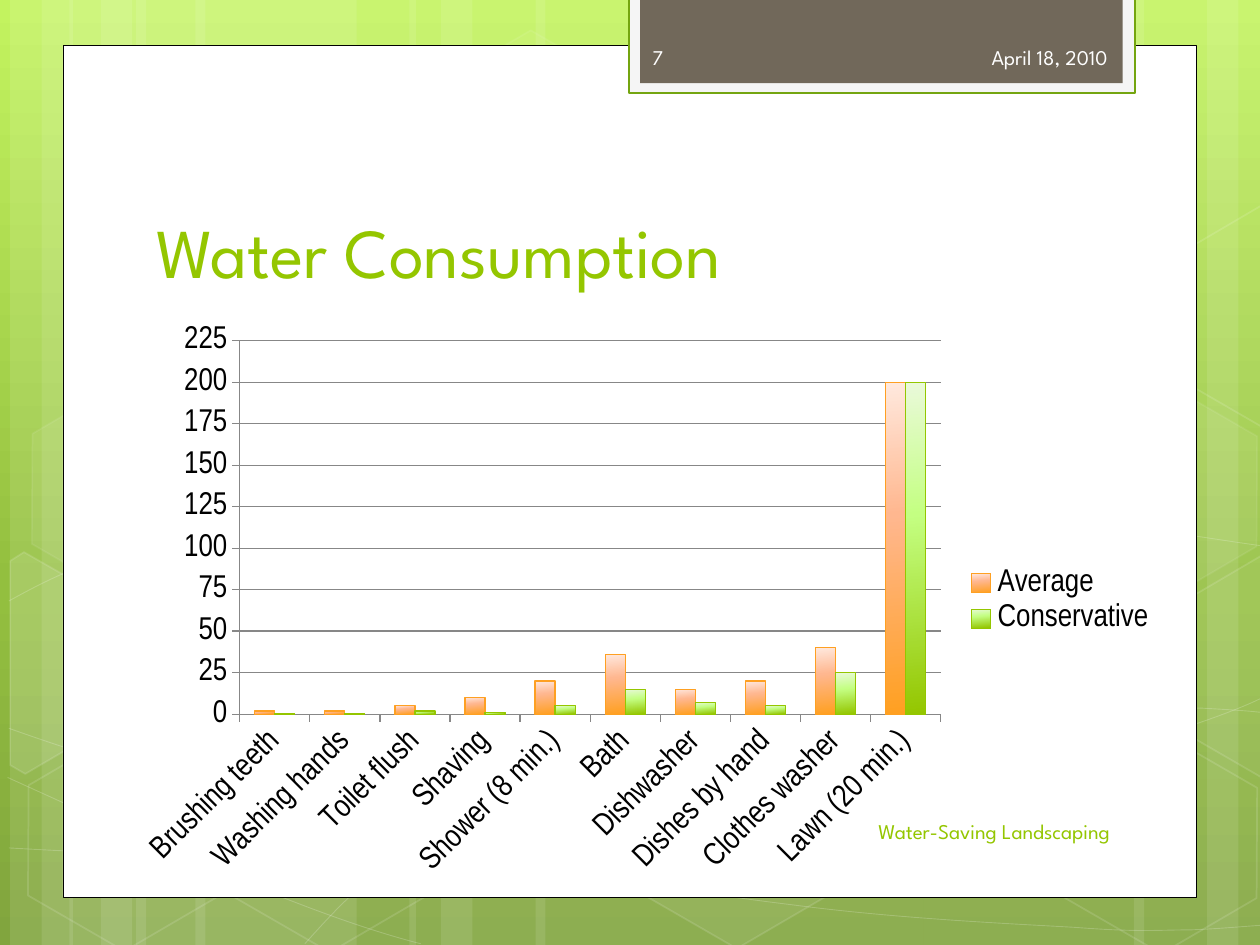
from math import cos, radians, sin
from typing import NamedTuple, Optional
from lxml.etree import SubElement
from pptx import Presentation
from pptx.chart.data import CategoryChartData
from pptx.dml.color import RGBColor
from pptx.enum.chart import XL_CHART_TYPE, XL_LEGEND_POSITION, XL_TICK_MARK
from pptx.enum.shapes import MSO_SHAPE
from pptx.enum.text import MSO_ANCHOR, PP_ALIGN
from pptx.oxml.ns import qn
from pptx.util import Inches, Pt

WHITE = RGBColor(0xFF, 0xFF, 0xFF)
OFF_WHITE = RGBColor(0xFE, 0xFE, 0xFE)
BLACK = RGBColor(0, 0, 0)
GREEN = RGBColor(0x94, 0xC6, 0x00)
DARK_GREEN = RGBColor(0x74, 0xA5, 0x10)
ORANGE = RGBColor(0xFE, 0xA0, 0x22)
PALE_GRAY = RGBColor(0xF5, 0xF5, 0xF5)
BROWN = RGBColor(0x71, 0x68, 0x5A)
GRID_GRAY = RGBColor(0x87, 0x87, 0x87)
HEADING_FONT = "League Spartan"
CHART_FONT = "Arial Narrow"
TILT = 30

Stops = list[tuple[int, str]]
Point = tuple[float, float]


class Hexagon(NamedTuple):
    left: float
    top: float
    fill_alpha: int
    line_alpha: int


class CutHexagon(NamedTuple):
    center: Point
    points: list[Point]
    fill_alpha: int = 0


class Label(NamedTuple):
    text: str
    at: tuple[float, float, float, float]
    size: int
    color: RGBColor
    align: PP_ALIGN = PP_ALIGN.LEFT
    anchor: MSO_ANCHOR = MSO_ANCHOR.MIDDLE


class Series(NamedTuple):
    name: str
    values: list[float]
    stops: Stops
    line: RGBColor


BANDS = [(1.08, 1.75), (0.08, 0.5), (0.33, 0.83), (1.55, 1.75), (0.55, 0.5), (0.8, 0.83),
         (7.33, 1.75), (9.58, 0.5), (9, 0.83), (4.25, 3.08), (3.25, 0.5), (3.5, 0.83)]

# Each curve: a start point, then three points per Bezier segment
CURVES: list[list[Point]] = [
    [(0.07, 6.73), (0.61, 6.76), (1.15, 6.79), (1.9, 6.78), (2.65, 6.77), (3.58, 6.75),
     (4.58, 6.65), (5.58, 6.55), (7, 6.36), (7.92, 6.17), (8.83, 5.98), (9.77, 5.68), (10.07, 5.51)],
    [(0.07, 4.77), (0.36, 4.61), (0.65, 4.46), (1.21, 4.31), (1.78, 4.16), (2.59, 3.94),
     (3.47, 3.87), (4.36, 3.8), (5.44, 3.79), (6.54, 3.87), (7.64, 3.95), (9.47, 4.26), (10.07, 4.34)],
    [(0.06, 6.17), (1.27, 6.72), (2.47, 7.27), (3.34, 7.49)],
    [(0.07, 5.78), (0.38, 5.89), (0.7, 6), (1.28, 6.16), (1.86, 6.31), (2.73, 6.56), (3.57, 6.73),
     (4.4, 6.9), (5.45, 7.08), (6.28, 7.18), (7.11, 7.29), (8, 7.33), (8.53, 7.36),
     (9.05, 7.4), (9.19, 7.38), (9.45, 7.38), (9.71, 7.37), (9.89, 7.35), (10.07, 7.34)],
    [(2.42, 7.49), (2.6, 7.29), (2.78, 7.09), (3.02, 6.91), (3.26, 6.73), (3.6, 6.53), (3.88, 6.39),
     (4.16, 6.25), (4.33, 6.19), (4.7, 6.09), (5.06, 5.99), (5.73, 5.85), (6.08, 5.78),
     (6.44, 5.71), (6.49, 5.71), (6.8, 5.69), (7.11, 5.66), (7.6, 5.63), (7.94, 5.62),
     (8.29, 5.61), (8.86, 5.62), (8.86, 5.62), (9.1, 5.62), (9.3, 5.62), (9.53, 5.62),
     (9.71, 5.63), (9.88, 5.64), (9.97, 5.65), (10.06, 5.66), (10.03, 5.65), (10.06, 5.66)],
]
HEXAGONS = [
    Hexagon(3.34, 0.36, 4, 8), Hexagon(4.97, 5.89, 6, 12), Hexagon(0.11, 5.91, 0, 12),
    Hexagon(0.14, 3.12, 7, 8), Hexagon(1.74, 5.92, 0, 12), Hexagon(7.53, 4.53, 10, 12),
    Hexagon(8.34, 5.93, 0, 12), Hexagon(8.34, 3.14, 7, 8),
]
CUT_HEXAGONS = [
    CutHexagon((0.36, 5.35), [(0.08, 4.45), (0.19, 4.38), (0.96, 4.82), (0.95, 5.7),
                              (0.2, 6.14), (0.08, 6.07)], 10),
    CutHexagon((9.85, 5.2), [(9.26, 4.85), (10.01, 4.41), (10.09, 4.46), (10.09, 6.13),
                             (10.02, 6.17), (9.26, 5.73)], 4),
    CutHexagon((9.85, 2.41), [(9.26, 2.07), (10.01, 1.63), (10.1, 1.68), (10.09, 3.35),
                              (10.02, 3.39), (9.26, 2.95)]),
]
TITLE = Label("Water Consumption", (1.14, 1.12, 7.68, 1.25), 40, GREEN, anchor=MSO_ANCHOR.BOTTOM)
SMALL_LABELS = [
    Label("April 18, 2010", (6.56, 0.25, 2.33, 0.4), 12, OFF_WHITE, PP_ALIGN.RIGHT),
    Label("Water-Saving Landscaping", (5.08, 6.4, 3.83, 0.4), 12, GREEN, PP_ALIGN.RIGHT),
    Label("7", (5.08, 0.25, 1.46, 0.4), 12, OFF_WHITE),
]
CATEGORIES = ["Brushing teeth", "Washing hands", "Toilet flush", "Shaving", "Shower (8 min.)",
              "Bath", "Dishwasher", "Dishes by hand", "Clothes washer", "Lawn (20 min.)"]
SERIES = [
    Series("Average", [2, 2, 5, 10, 20, 36, 15, 20, 40, 200],
           [(0, "FFE9DE"), (40, "FFB78F"), (100, "FFA021")], ORANGE),
    Series("Conservative", [0.5, 0.5, 2, 1, 5, 15, 7, 5, 25, 200],
           [(0, "EAF9DA"), (40, "C4FF82"), (100, "94C600")], GREEN),
]


def set_gradient(fill, owner, stops: Stops, angle: int) -> None:
    fill.gradient()
    fill.gradient_angle = 360 - angle
    stop_list = owner.find(".//" + qn("a:gsLst"))
    stop_list.clear()
    for position, color in stops:
        stop = SubElement(stop_list, qn("a:gs"), pos=str(position * 1000))
        SubElement(stop, qn("a:srgbClr"), val=color)


def style(shape, fill: Optional[RGBColor], line: Optional[RGBColor] = None, width: float = 1,
          fill_alpha: int = 100, line_alpha: int = 100) -> None:
    shape.shadow.inherit = False
    if line is not None:
        shape.line.width = Pt(width)
    for paint, color, alpha in ((shape.fill, fill, fill_alpha), (shape.line.fill, line, line_alpha)):
        if color is None or alpha == 0:
            paint.background()
            continue
        paint.solid()
        paint.fore_color.rgb = color
    properties = shape.element.spPr
    for owner, alpha in ((properties, fill_alpha), (properties.find(qn("a:ln")), line_alpha)):
        color_node = owner.find(qn("a:solidFill") + "/" + qn("a:srgbClr"))
        if color_node is not None and alpha < 100:
            SubElement(color_node, qn("a:alpha"), val=str(alpha * 1000))


def add_block(page, kind: MSO_SHAPE, left: float, top: float, width: float, height: float):
    return page.shapes.add_shape(kind, Inches(left), Inches(top), Inches(width), Inches(height))


def add_outline(page, points: list[Point], close: bool):
    start, *others = [(Inches(x), Inches(y)) for x, y in points]
    builder = page.shapes.build_freeform(*start)
    builder.add_line_segments(others, close=close)
    return builder.convert_to_shape()


def add_curve(page, points: list[Point]):
    curve = add_outline(page, points, False)
    segments = list(curve.element.iter(qn("a:lnTo")))
    for first in range(0, len(segments), 3):
        bend = SubElement(segments[first].getparent(), qn("a:cubicBezTo"))
        for segment in segments[first:first + 3]:
            bend.append(segment[0])
            segment.getparent().remove(segment)
    return curve


def turn_back(point: Point, center: Point) -> Point:
    dx, dy = point[0] - center[0], point[1] - center[1]
    c, s = cos(radians(TILT)), sin(radians(TILT))
    return center[0] + dx * c + dy * s, center[1] - dx * s + dy * c


def add_label(page, label: Label) -> None:
    box = page.shapes.add_textbox(*(Inches(length) for length in label.at))
    frame = box.text_frame
    frame.word_wrap = True
    frame.vertical_anchor = label.anchor
    para = frame.paragraphs[0]
    para.alignment = label.align
    span = para.add_run()
    span.text = label.text
    span.font.size, span.font.name = Pt(label.size), HEADING_FONT
    span.font.color.rgb = label.color


def add_consumption_chart(page) -> None:
    data = CategoryChartData()
    data.categories = CATEGORIES
    for item in SERIES:
        data.add_series(item.name, item.values)
    chart = page.shapes.add_chart(XL_CHART_TYPE.COLUMN_CLUSTERED, Inches(1), Inches(2.5),
                                  Inches(8.28), Inches(4.54), data).chart
    chart.has_title = False
    chart.font.size, chart.font.name = Pt(18), CHART_FONT
    chart.font.color.rgb = BLACK
    chart.has_legend = True
    chart.legend.position = XL_LEGEND_POSITION.RIGHT
    chart.legend.include_in_layout = False
    plot = chart.plots[0]
    plot.gap_width, plot.overlap, plot.vary_by_categories = 150, 0, False
    for series, item in zip(plot.series, SERIES):
        set_gradient(series.format.fill, series._element, item.stops, 84)
        series.format.line.color.rgb = item.line
        series.format.line.width = Pt(0.75)

    # Axes
    values, categories = chart.value_axis, chart.category_axis
    values.minimum_scale, values.maximum_scale, values.major_unit = 0, 225, 25
    values.major_gridlines.format.line.color.rgb = GRID_GRAY
    for axis in (values, categories):
        axis.major_tick_mark = XL_TICK_MARK.OUTSIDE
        axis.format.line.color.rgb = GRID_GRAY
        axis.tick_labels.font.size, axis.tick_labels.font.name = Pt(18), CHART_FONT
    categories._element.find(qn("c:txPr")).find(qn("a:bodyPr")).set("rot", "-2700000")

    # Plot area position inside the chart frame
    area = chart._chartSpace.find(".//" + qn("c:plotArea"))
    layout = area.find(qn("c:layout"))
    if layout is None:
        layout = SubElement(area, qn("c:layout"))
        area.insert(0, layout)
    manual = SubElement(layout, qn("c:manualLayout"))
    for tag, value in (("layoutTarget", "inner"), ("xMode", "edge"), ("yMode", "edge"),
                       ("x", "0.109"), ("y", "0.045"), ("w", "0.672"), ("h", "0.653")):
        SubElement(manual, qn("c:" + tag), val=value)


deck = Presentation()
deck.slide_width, deck.slide_height = Inches(10), Inches(7.5)
page = deck.slides.add_slide(deck.slide_layouts[6])

# Background with pale bands, curves and hexagons
set_gradient(page.background.fill, page.element, [(0, "C3F35F"), (62, "93BF3F"), (100, "81A53E")], 90)
for left, width in BANDS:
    style(add_block(page, MSO_SHAPE.RECTANGLE, left, 0, width, 7.5), WHITE, fill_alpha=10)
for points in CURVES:
    style(add_curve(page, points), None, WHITE, 0.5, line_alpha=20)
for item in HEXAGONS:
    hexagon = add_block(page, MSO_SHAPE.HEXAGON, item.left, item.top, 1.75, 1.52)
    hexagon.adjustments[0] = 0.285
    hexagon.rotation = TILT
    style(hexagon, WHITE, WHITE, 1, item.fill_alpha, item.line_alpha)
for item in CUT_HEXAGONS:
    cut = add_outline(page, [turn_back(point, item.center) for point in item.points], True)
    cut.rotation = TILT
    style(cut, WHITE, WHITE, 1, item.fill_alpha, 12)

# White panel and header tab
for at, fill, line, width in (((0.5, 0.36, 9, 6.76), WHITE, BLACK, 0.5),
                              ((4.99, -0.02, 4.02, 0.76), PALE_GRAY, DARK_GREEN, 1.25),
                              ((5.08, -0.02, 3.83, 0.68), BROWN, None, 0)):
    style(add_block(page, MSO_SHAPE.RECTANGLE, *at), fill, line, width)

# Title, chart and small labels
add_label(page, TITLE)
add_consumption_chart(page)
for label in SMALL_LABELS:
    add_label(page, label)

deck.save("out.pptx")
